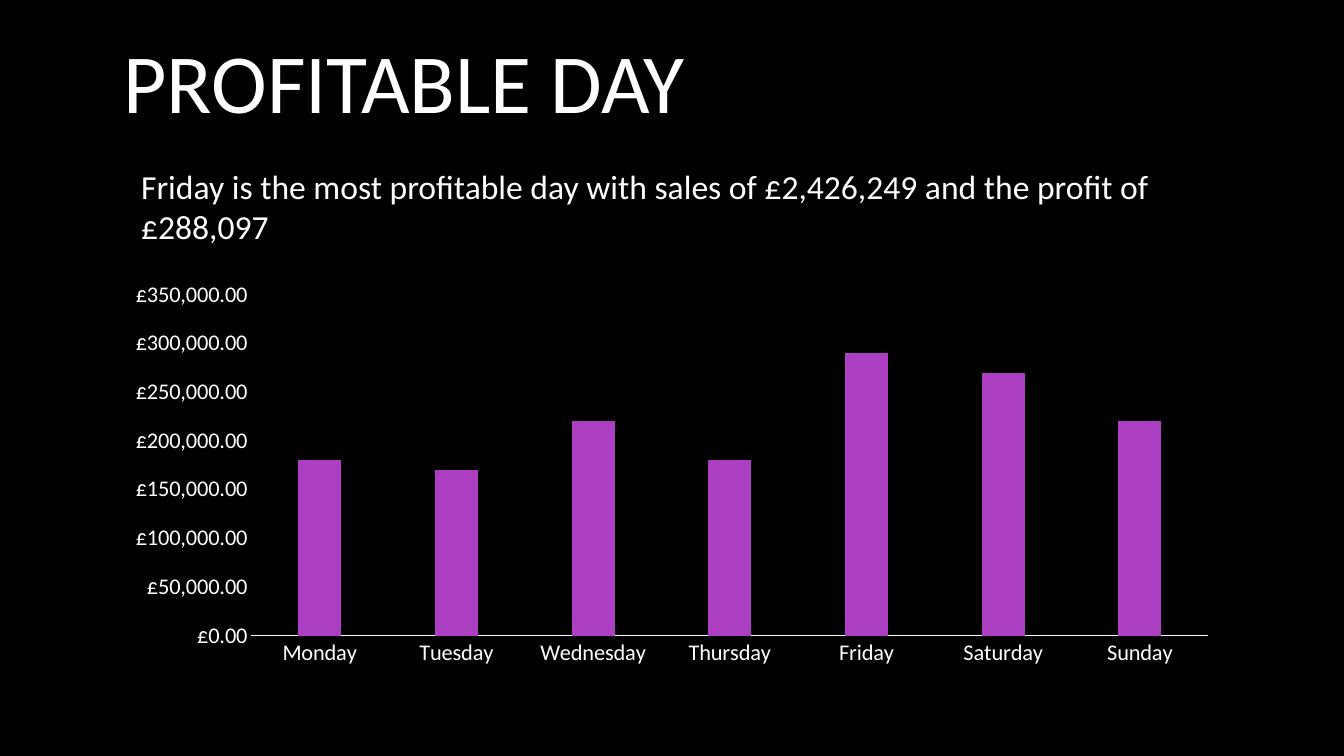
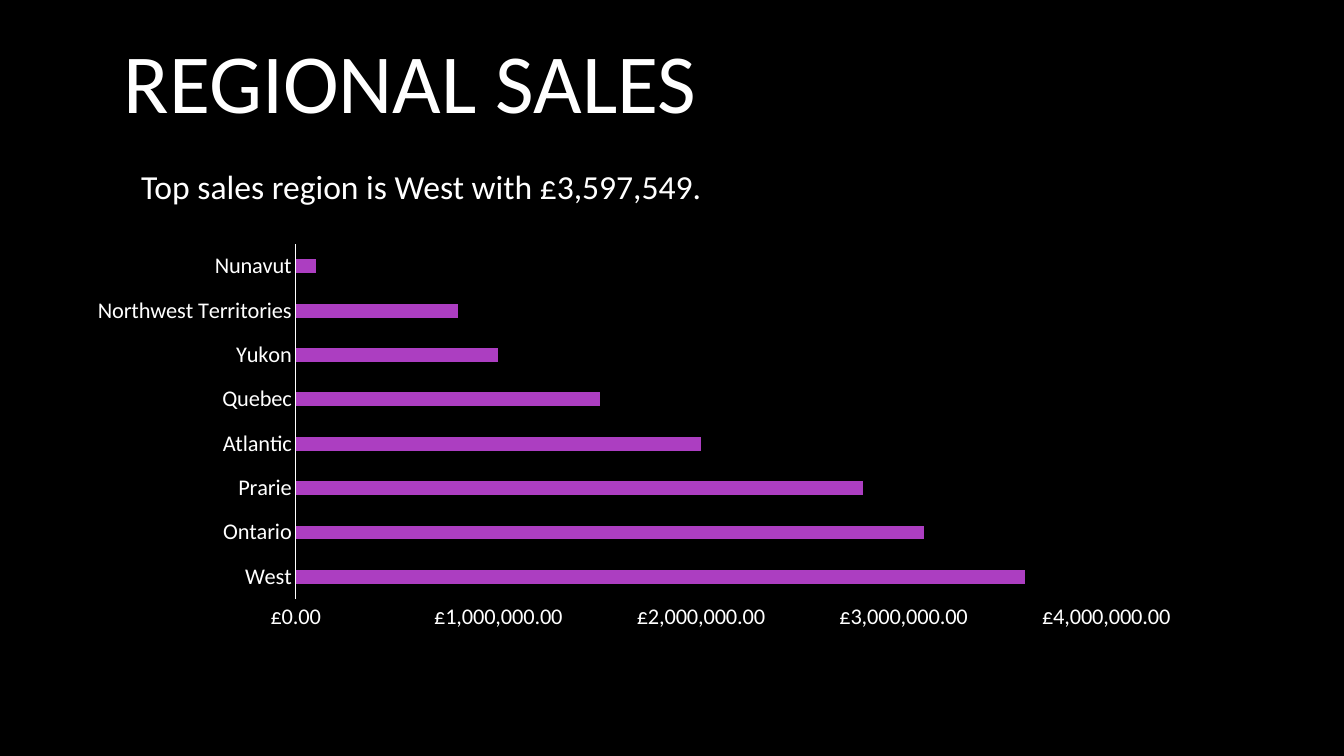
from dataclasses import dataclass

from pptx import Presentation
from pptx import util as u
from pptx.chart.data import CategoryChartData
from pptx.dml.color import RGBColor
from pptx.enum import chart as charts, text

PX = 9525  # EMU in one px, 96 px to the inch


@dataclass(frozen=True)
class Theme:
    background: RGBColor = RGBColor(0x00, 0x00, 0x00)
    ink: RGBColor = RGBColor(0xFF, 0xFF, 0xFF)
    accent: RGBColor = RGBColor(0xAC, 0x3E, 0xC1)
    font: str = "Calibri"
    title: int = 60
    message: int = 24
    axis: int = 16
    chart: int = 10


THEME = Theme()
TITLE_BOX = (108, 0, 1064, 153)
CURRENCY = '"£"#,##0.00'

SLIDES = [
    {
        "title": "PROFITABLE DAY",
        "message": "Friday is the most profitable day with sales of £2,426,249 "
                   "and the profit of £288,097",
        "message_box": (125, 153, 1030, 87),
        "chart_box": (108, 260, 1064, 383),
        "kind": charts.XL_CHART_TYPE.COLUMN_CLUSTERED,
        "values": {
            "Monday": 180000, "Tuesday": 170000, "Wednesday": 220000,
            "Thursday": 180000, "Friday": 290000, "Saturday": 270000,
            "Sunday": 220000,
        },
        "scale": {"minimum_scale": 0, "maximum_scale": 350000, "major_unit": 50000},
        "bars": {"gap_width": 219, "overlap": -27},
    },
    {
        "title": "REGIONAL SALES",
        "message": "Top sales region is West with £3,597,549.",
        "message_box": (125, 153, 1030, 48),
        "chart_box": (72, 225, 1064, 383),
        "kind": charts.XL_CHART_TYPE.BAR_CLUSTERED,
        "values": {
            "West": 3600000, "Ontario": 3100000, "Prarie": 2800000,
            "Atlantic": 2000000, "Quebec": 1500000, "Yukon": 1000000,
            "Northwest Territories": 800000, "Nunavut": 100000,
        },
        "scale": {"minimum_scale": 0, "maximum_scale": 4000000, "major_unit": 1000000},
        "bars": {"gap_width": 219},
    },
]


def emu(box):
    return [length * PX for length in box]


def set_format(target, values):
    for name, value in values.items():
        setattr(target, name, value)


def set_font(font, size):
    set_format(font, {"name": THEME.font, "size": u.Pt(size), "bold": False})
    font.color.rgb = THEME.ink


def write_text(shape, words, size, anchor):
    frame = shape.text_frame
    set_format(frame, {"text": words, "word_wrap": True, "vertical_anchor": anchor,
                       "auto_size": text.MSO_AUTO_SIZE.NONE})
    paragraph = frame.paragraphs[0]
    paragraph.alignment = text.PP_ALIGN.LEFT
    set_font(paragraph.runs[0].font, size)


def add_title(slide, box, words):
    title = slide.shapes.title
    set_format(title, dict(zip(("left", "top", "width", "height"), emu(box))))
    write_text(title, words, THEME.title, text.MSO_ANCHOR.MIDDLE)


def add_message(slide, box, words):
    message = slide.shapes.add_textbox(*emu(box))
    write_text(message, words, THEME.message, text.MSO_ANCHOR.TOP)


def style_axis(axis):
    set_format(axis, {
        "has_major_gridlines": False,
        "has_minor_gridlines": False,
        "major_tick_mark": charts.XL_TICK_MARK.NONE,
        "minor_tick_mark": charts.XL_TICK_MARK.NONE,
    })
    set_font(axis.tick_labels.font, THEME.axis)


def add_bar_chart(slide, box, kind, values, scale, bars):
    data = CategoryChartData(number_format=CURRENCY)
    data.categories = list(values)
    data.add_series("Series 1", list(values.values()))
    chart = slide.shapes.add_chart(kind, *emu(box), data).chart
    set_format(chart, {"has_legend": False, "has_title": False})
    set_font(chart.font, THEME.chart)

    category_axis, value_axis = chart.category_axis, chart.value_axis
    for axis in (category_axis, value_axis):
        style_axis(axis)
    category_axis.format.line.color.rgb = THEME.ink
    category_axis.format.line.width = u.Pt(0.75)
    value_axis.format.line.fill.background()
    set_format(value_axis, scale)
    set_format(value_axis.tick_labels,
               {"number_format": CURRENCY, "number_format_is_linked": False})

    plot = chart.plots[0]
    set_format(plot, {"vary_by_categories": False, **bars})
    fill = plot.series[0].format.fill
    fill.solid()
    fill.fore_color.rgb = THEME.accent


def add_chart_slide(presentation, content):
    slide = presentation.slides.add_slide(
        presentation.slide_layouts.get_by_name("Title Only"))
    add_title(slide, TITLE_BOX, content["title"])
    add_bar_chart(slide, content["chart_box"], content["kind"], content["values"],
                  content["scale"], content["bars"])
    add_message(slide, content["message_box"], content["message"])


def main():
    presentation = Presentation()
    set_format(presentation, {"slide_width": 1280 * PX, "slide_height": 720 * PX})
    background = presentation.slide_master.background.fill
    background.solid()
    background.fore_color.rgb = THEME.background
    for content in SLIDES:
        add_chart_slide(presentation, content)
    presentation.save("out.pptx")


if __name__ == "__main__":
    main()
